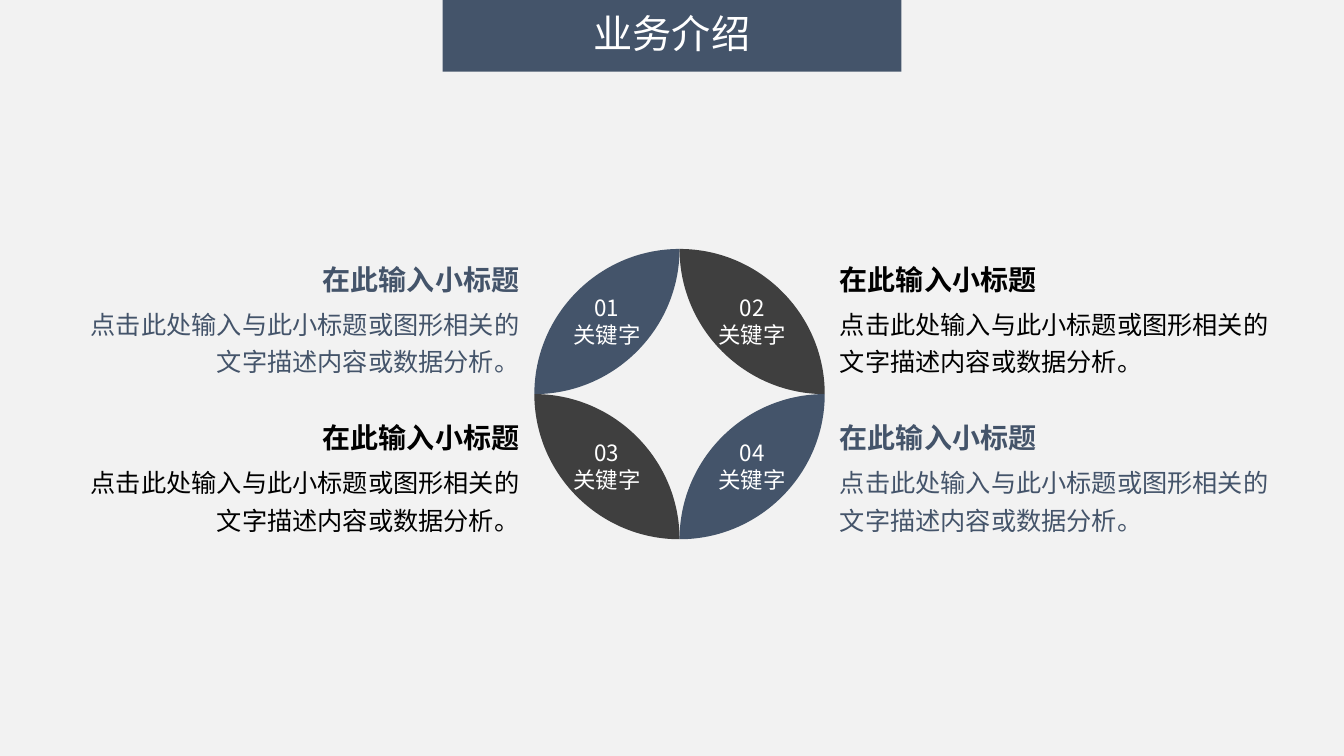
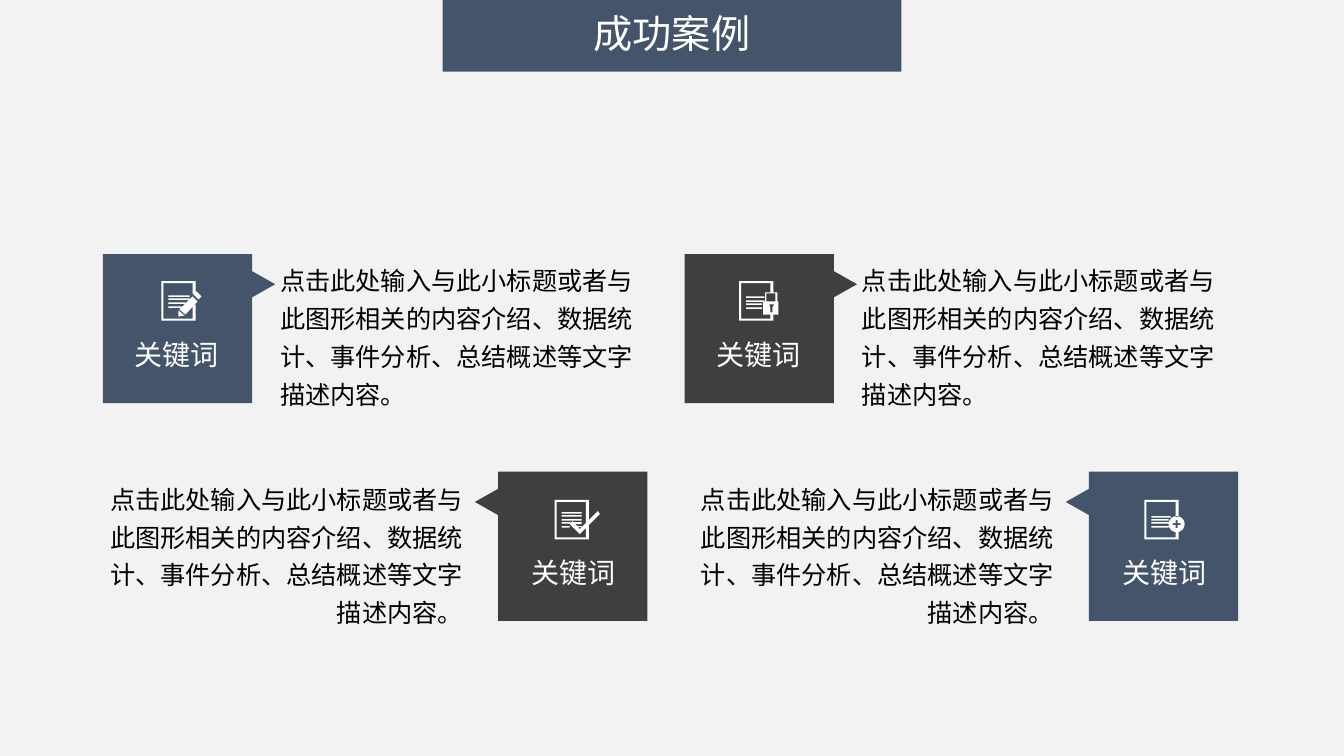
from dataclasses import dataclass
from itertools import product

from lxml import etree
from pptx import Presentation
from pptx.dml.color import RGBColor
from pptx.enum import shapes, text
from pptx.oxml import ns
from pptx.util import Inches, Pt


@dataclass(frozen=True)
class Theme:
    font: str = "Noto Sans CJK SC"
    paper: str = "F2F2F2"
    blue: str = "44546A"
    gray: str = "3F3F3F"
    black: str = "000000"
    white: str = "FFFFFF"
    title_size: int = 28
    heading_size: int = 20
    body_size: int = 18
    label_size: int = 16
    body_spacing: float = 1.25


THEME = Theme()
LEFT, CENTER, RIGHT = text.PP_ALIGN.LEFT, text.PP_ALIGN.CENTER, text.PP_ALIGN.RIGHT

CAPTION_HEADING = "在此输入小标题"
CAPTION_BODY = "点击此处输入与此小标题或图形相关的文字描述内容或数据分析。"
CASE_BODY = "点击此处输入与此小标题或者与此图形相关的内容介绍、数据统计、事件分析、总结概述等文字描述内容。"

HUB_X, HUB_Y, HUB_RADIUS = 6.74, 3.91, 1.44
ARC_HANDLE = 0.55  # handle length of a quarter circle with radius 1

TAG_SIDE, TAG_WIDTH = 1.48, 1.71
CASE_TEXT_WIDTH, CASE_TEXT_HEIGHT = 3.84, 1.58


def paint(shape, color):
    shape.shadow.inherit = False
    shape.fill.solid()
    shape.fill.fore_color.rgb = RGBColor.from_string(color)
    shape.line.fill.background()


def write(frame, content, size, color, align=LEFT, bold=False, spacing=None):
    frame.text = content
    for para in frame.paragraphs:
        para.alignment = align
        para.line_spacing = spacing
        for span in para.runs:
            span.font.size = Pt(size)
            span.font.bold = bold
            span.font.color.rgb = RGBColor.from_string(color)
            span.font.name = THEME.font
            east_asian = etree.SubElement(span._r.get_or_add_rPr(), ns.qn("a:ea"))
            east_asian.set("typeface", THEME.font)


def set_margins(frame, left, top, right, bottom):
    frame.margin_left, frame.margin_top = Inches(left), Inches(top)
    frame.margin_right, frame.margin_bottom = Inches(right), Inches(bottom)


def add_text(page, bounds, content, size, color, side_margin=0.1, **style):
    box = page.shapes.add_textbox(*map(Inches, bounds))
    frame = box.text_frame
    frame.word_wrap = True
    frame.auto_size = text.MSO_AUTO_SIZE.SHAPE_TO_FIT_TEXT
    set_margins(frame, side_margin, 0.05, side_margin, 0.05)
    write(frame, content, size, color, **style)
    return box


def bend(shape, curved):
    """Turn each three points after the start of the curved contours into a Bezier."""
    outline = next(shape._element.iter(ns.qn("a:path")))
    contour, curve = -1, None
    for node in list(outline):
        if node.tag == ns.qn("a:moveTo"):
            contour, curve = contour + 1, None
        elif node.tag == ns.qn("a:lnTo") and contour in curved:
            if curve is None or len(curve) == 3:
                curve = etree.Element(ns.qn("a:cubicBezTo"))
                node.addprevious(curve)
            curve.append(node[0])
            outline.remove(node)


def add_outline(page, contours, color, left=0, top=0, curved=()):
    """Draw closed contours as one shape; a contour inside another cuts a hole."""
    builder = None
    for contour in contours:
        points = [(Inches(left + x), Inches(top + y)) for x, y in contour]
        if builder is None:
            builder = page.shapes.build_freeform(*points[0])
        else:
            builder.move_to(*points[0])
        builder.add_line_segments(points[1:], close=True)
    shape = builder.convert_to_shape()
    bend(shape, curved)
    paint(shape, color)
    return shape


def add_shared_band(deck):
    """Draw the title band once, on the layout that all the slides use."""
    band = deck.slides[0].shapes.add_shape(
        shapes.MSO_SHAPE.RECTANGLE, *map(Inches, (4.39, 0, 4.55, 0.71)))
    paint(band, THEME.blue)
    deck.slide_layouts[6].shapes._spTree.append(band._element)


def add_page(deck, title):
    page = deck.slides.add_slide(deck.slide_layouts[6])
    box = add_text(page, (4.95, 0.09, 3.43, 0.53), title, THEME.title_size,
                   THEME.white, align=CENTER, spacing=0.9)
    frame = box.text_frame
    frame.auto_size = text.MSO_AUTO_SIZE.NONE
    frame.word_wrap = False
    frame.vertical_anchor = text.MSO_ANCHOR.MIDDLE
    return page


def add_petal(page, side_x, side_y, color):
    """Draw the lens between the hub circle and its mirror image in one quadrant."""
    rest = 1 - ARC_HANDLE
    lens = [(0, 1), (ARC_HANDLE, 1), (1, ARC_HANDLE), (1, 0),
            (rest, 0), (0, rest), (0, 1)]
    points = [(side_x * HUB_RADIUS * x, side_y * HUB_RADIUS * y) for x, y in lens]
    add_outline(page, [points], color, HUB_X, HUB_Y, curved=(0,))


def add_keyword(page, side_x, side_y, number):
    width, height = 1.15, 0.64
    center_x = HUB_X + side_x * HUB_RADIUS / 2
    center_y = HUB_Y + side_y * HUB_RADIUS / 2
    add_text(page, (center_x - width / 2, center_y - height / 2, width, height),
             f"{number:02}\n关键字", THEME.label_size, THEME.white, align=CENTER)


def add_caption(page, side_x, side_y, color):
    left = 0.74 if side_x < 0 else 8.33
    top = 2.47 if side_y < 0 else 4.04
    style = dict(side_margin=0, align=RIGHT if side_x < 0 else LEFT,
                 spacing=THEME.body_spacing)
    add_text(page, (left, top + 0.47, 4.41, 0.86), CAPTION_BODY,
             THEME.body_size, color, **style)
    add_text(page, (left, top, 4.41, 0.52), CAPTION_HEADING,
             THEME.heading_size, color, bold=True, **style)


def build_business(deck):
    page = add_page(deck, "业务介绍")
    quadrants = [(x, y) for y, x in product((-1, 1), repeat=2)]
    for x, y in quadrants:
        add_petal(page, x, y, THEME.blue if x == y else THEME.gray)
    for number, (x, y) in enumerate(quadrants, start=1):
        add_keyword(page, x, y, number)
    for x, y in quadrants:
        add_caption(page, x, y, THEME.blue if x == y else THEME.black)


def rectangle(left, top, right, bottom):
    return [(left, top), (right, top), (right, bottom), (left, bottom)]


def sheet(gap, rules):
    """Outline a sheet whose right edge is open at gap, with (y, right end) text rules.

    The gap gives y at its outer and inner top, then its inner and outer bottom.
    """
    outer_top, inner_top, inner_bottom, outer_bottom = gap
    frame = [(0, 0), (0.34, 0), (0.34, outer_top), (0.31, inner_top),
             (0.31, 0.02), (0.02, 0.02), (0.02, 0.37), (0.31, 0.37),
             (0.31, inner_bottom), (0.34, outer_bottom), (0.34, 0.39), (0, 0.39)]
    return [frame] + [rectangle(0.07, y, end, y + 0.015) for y, end in rules]


def pencil_icon():
    return sheet((0.11, 0.13, 0.26, 0.23),
                 [(0.14, 0.28), (0.17, 0.28), (0.21, 0.24), (0.25, 0.2)]) + [
        [(0.31, 0.15), (0.36, 0.2), (0.24, 0.33), (0.18, 0.28)],
        [(0.17, 0.29), (0.23, 0.34), (0.17, 0.35)],
        [(0.35, 0.1), (0.4, 0.15), (0.37, 0.18), (0.32, 0.13)]]


def lock_icon():
    return sheet((0.11, 0.11, 0.33, 0.33),
                 [(0.15, 0.25), (0.19, 0.25), (0.22, 0.23), (0.26, 0.23)]) + [
        rectangle(0.26, 0.11, 0.38, 0.2),
        rectangle(0.27, 0.12, 0.36, 0.2),
        rectangle(0.24, 0.2, 0.39, 0.33),
        [(0.3, 0.23), (0.35, 0.23), (0.33, 0.26), (0.33, 0.31),
         (0.31, 0.31), (0.31, 0.26)]]


def tick_icon():
    return sheet((0.2, 0.23, 0.28, 0.25),
                 [(0.12, 0.27), (0.15, 0.27), (0.19, 0.27), (0.22, 0.16),
                  (0.26, 0.15)]) + [
        [(0.19, 0.22), (0.27, 0.22), (0.27, 0.24), (0.21, 0.24)],
        [(0.22, 0.26), (0.27, 0.26), (0.27, 0.27), (0.23, 0.27)],
        [(0.15, 0.24), (0.18, 0.21), (0.25, 0.29), (0.43, 0.11),
         (0.45, 0.14), (0.25, 0.34)]]


def plus_icon():
    """Put the round badge first, as the only curved contour."""
    x, y, radius, arm, half = 0.32, 0.24, 0.08, 0.04, 0.01
    handle = radius * ARC_HANDLE
    quarter = [(radius, handle), (handle, radius), (0, radius)]
    corner = [(arm, half), (half, half), (half, arm)]
    disc, cross = [(x + radius, y)], []
    for _ in range(4):
        disc += [(x + dx, y + dy) for dx, dy in quarter]
        cross += [(x + dx, y + dy) for dx, dy in corner]
        quarter = [(-dy, dx) for dx, dy in quarter]
        corner = [(-dy, dx) for dx, dy in corner]
    return [disc, cross] + sheet(
        (0.17, 0.17, 0.32, 0.32),
        [(0.16, 0.26), (0.19, 0.24), (0.22, 0.24), (0.26, 0.24)])


def add_tag(page, left, top, color, points_right):
    """Draw a square label with a small pointer on the side facing its text."""
    contour = [(0, 0), (TAG_SIDE, 0), (TAG_SIDE, 0.17), (TAG_WIDTH, 0.3),
               (TAG_SIDE, 0.43), (TAG_SIDE, TAG_SIDE), (0, TAG_SIDE)]
    if not points_right:
        contour = [(TAG_WIDTH - x, y) for x, y in contour]
    tag = add_outline(page, [contour], color, left, top)
    frame = tag.text_frame
    frame.word_wrap = True
    frame.vertical_anchor = text.MSO_ANCHOR.BOTTOM
    left_margin, right_margin = (0.1, 0.35) if points_right else (0.35, 0.1)
    set_margins(frame, left_margin, 0.05, right_margin, 0.32)
    write(frame, "关键词", THEME.heading_size, THEME.white, align=CENTER)


def add_case(page, left, top, color, points_right, icon, icon_offset, curved=()):
    add_tag(page, left, top, color, points_right)
    icon_top = top + (0.27 if points_right else 0.28)
    add_outline(page, icon, THEME.white, left + icon_offset, icon_top, curved)
    text_left = left + 1.66 if points_right else left - 3.86
    text_top = top - 0.01 if points_right else top
    add_text(page, (text_left, text_top, CASE_TEXT_WIDTH, CASE_TEXT_HEIGHT),
             CASE_BODY, THEME.body_size, THEME.black,
             align=LEFT if points_right else RIGHT, spacing=THEME.body_spacing)


def build_cases(deck):
    page = add_page(deck, "成功案例")
    add_case(page, 1.02, 2.52, THEME.blue, True, pencil_icon(), 0.58)
    add_case(page, 6.79, 2.52, THEME.gray, True, lock_icon(), 0.54)
    add_case(page, 10.57, 4.68, THEME.blue, False, plus_icon(), 0.78, curved=(0,))
    add_case(page, 4.71, 4.68, THEME.gray, False, tick_icon(), 0.79)


def main():
    deck = Presentation()
    deck.slide_width, deck.slide_height = Inches(13.33), Inches(7.5)
    backdrop = deck.slide_master.background.fill
    backdrop.solid()
    backdrop.fore_color.rgb = RGBColor.from_string(THEME.paper)
    build_business(deck)
    build_cases(deck)
    add_shared_band(deck)
    deck.save("out.pptx")


if __name__ == "__main__":
    main()
